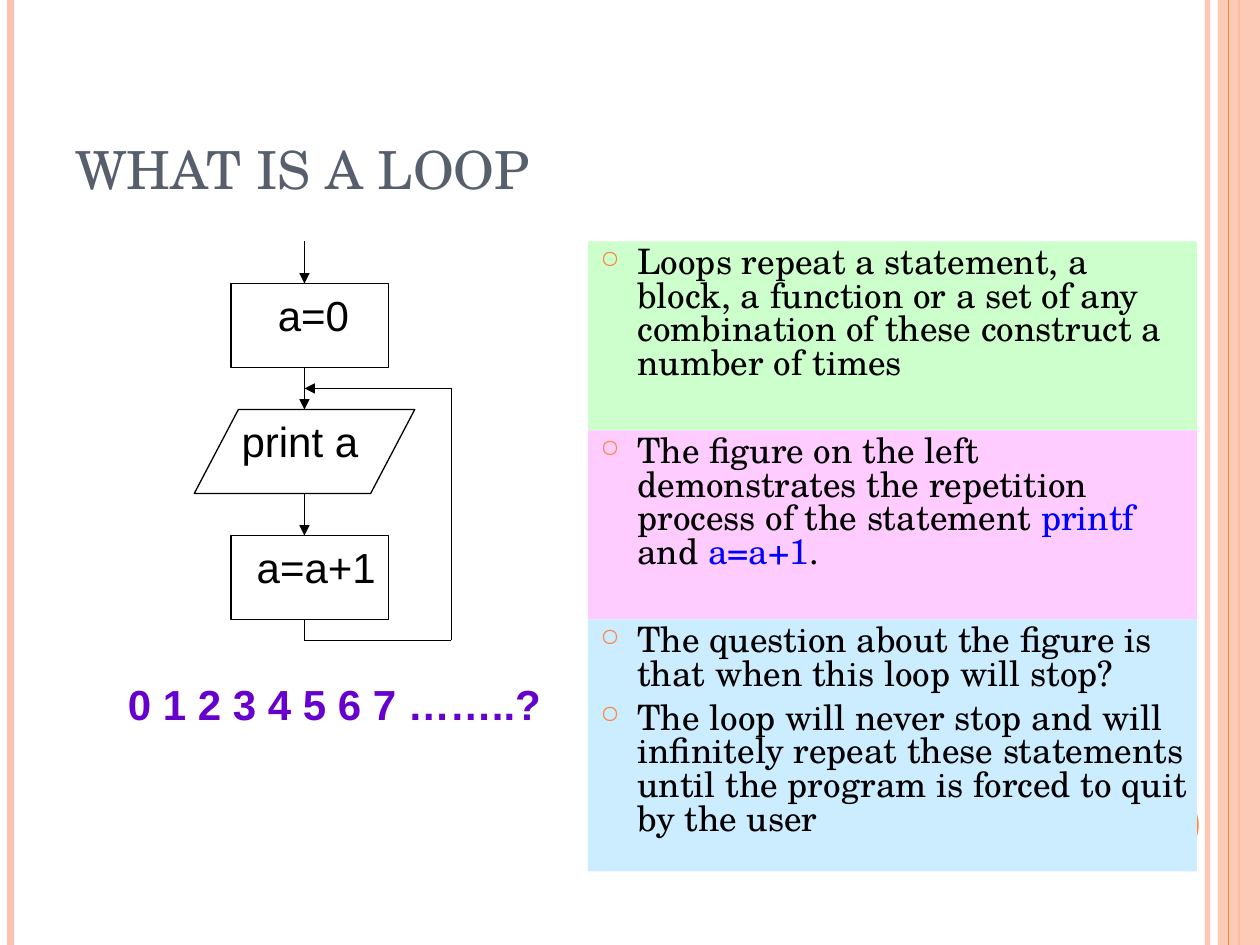
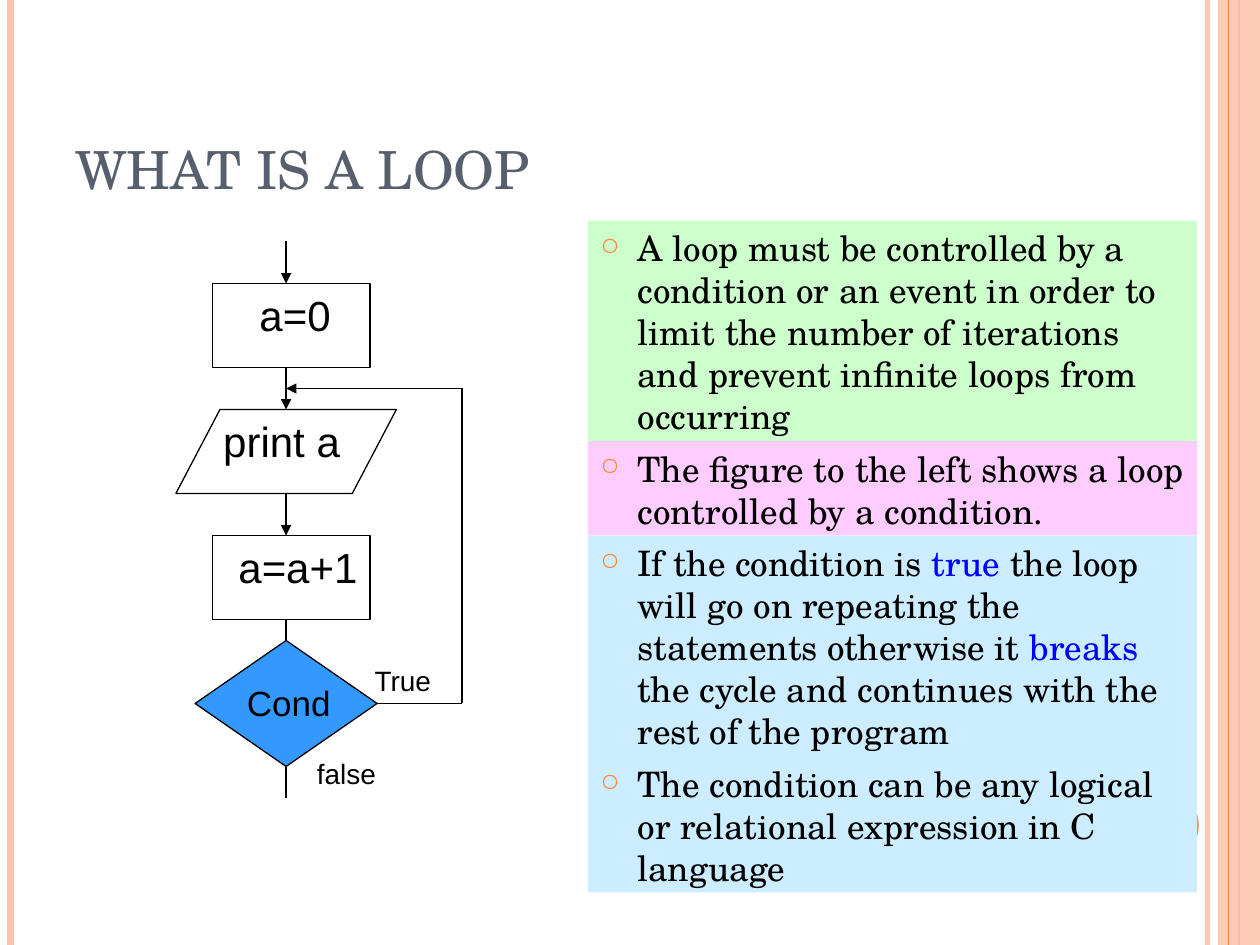
from lxml.etree import SubElement
from pptx import Presentation
from pptx.dml.color import RGBColor
from pptx.enum.shapes import MSO_CONNECTOR, MSO_SHAPE
from pptx.enum.text import MSO_ANCHOR, MSO_AUTO_SIZE, PP_ALIGN
from pptx.oxml.ns import qn
from pptx.util import Pt

PEACH = RGBColor(0xFE, 0xC3, 0xAE)
ORANGE = RGBColor(0xFE, 0x86, 0x37)
SLATE = RGBColor(0x57, 0x5F, 0x6D)
GREEN = RGBColor(0xCC, 0xFF, 0xCC)
PINK = RGBColor(0xFF, 0xCC, 0xFF)
PALE_BLUE = RGBColor(0xCC, 0xEC, 0xFF)
BLUE = RGBColor(0x00, 0x00, 0xFF)
DECISION_BLUE = RGBColor(0x33, 0x99, 0xFF)
PURPLE = RGBColor(0x66, 0x00, 0xCC)
BLACK = RGBColor(0x00, 0x00, 0x00)

SERIF, SANS = "TeX Gyre Schola", "Arial"
WIDTH, HEIGHT = 720, 540
TOP, RIGHT, BOTTOM = 0, 3, 2  # connection sites


class Deck:
    """Holds the shared style and the slide being built."""

    def __init__(self):
        self.presentation = Presentation()
        self.presentation.slide_width = Pt(WIDTH)
        self.presentation.slide_height = Pt(HEIGHT)
        self.slide = None

    def start_slide(self, title):
        layout = self.presentation.slide_layouts[6]
        self.slide = self.presentation.slides.add_slide(layout)
        # Side stripes and page marker
        self.line((690, 0), (690, HEIGHT), PEACH, 3, opacity=93)
        self.line((6, 0), (6, HEIGHT), PEACH, 4.5)
        self.line((708, 0), (708, HEIGHT), ORANGE, 1.5)
        self.shape(MSO_SHAPE.RECTANGLE, 696, 0, 24, HEIGHT, PEACH, opacity=87)
        self.line((702, 0), (702, HEIGHT), ORANGE)
        self.shape(MSO_SHAPE.OVAL, 642, 450, 43, 43, ORANGE)
        # Title
        self.text(title, 36, 42, 648, 75.6, 30, SLATE, SERIF,
                  wrap=True, anchor=MSO_ANCHOR.BOTTOM)

    def set_opacity(self, element, percent):
        for color in element.iter(qn("a:srgbClr")):
            SubElement(color, qn("a:alpha"), val=str(percent * 1000))

    def shape(self, kind, left, top, width, height, fill=None, outline=None,
              opacity=None):
        shape = self.slide.shapes.add_shape(
            kind, Pt(left), Pt(top), Pt(width), Pt(height))
        shape.shadow.inherit = False
        if fill is None:
            shape.fill.background()
        else:
            shape.fill.solid()
            shape.fill.fore_color.rgb = fill
        if outline is None:
            shape.line.fill.background()
        else:
            shape.line.color.rgb = outline
            shape.line.width = Pt(0.75)
        if opacity:
            self.set_opacity(shape._element, opacity)
        return shape

    def line(self, start, end, color=BLACK, weight=0.75, arrow=False,
             opacity=None):
        connector = self.slide.shapes.add_connector(
            MSO_CONNECTOR.STRAIGHT, *[Pt(value) for value in (*start, *end)])
        connector.line.color.rgb = color
        connector.line.width = Pt(weight)
        if arrow:
            SubElement(connector.line._get_or_add_ln(), qn("a:tailEnd"),
                       type="triangle")
        if opacity:
            self.set_opacity(connector._element, opacity)
        SubElement(connector._element.spPr, qn("a:effectLst"))
        return connector

    def text(self, text, left, top, width, height, size, color=BLACK,
             font=SANS, bold=False, wrap=False, anchor=MSO_ANCHOR.TOP):
        box = self.slide.shapes.add_textbox(
            Pt(left), Pt(top), Pt(width), Pt(height))
        frame = box.text_frame
        frame.word_wrap = wrap
        if not wrap:
            frame.auto_size = MSO_AUTO_SIZE.SHAPE_TO_FIT_TEXT
        frame.vertical_anchor = anchor
        paragraph = frame.paragraphs[0]
        paragraph.text = text
        paragraph.font.size = Pt(size)
        paragraph.font.name = font
        paragraph.font.bold = bold
        paragraph.font.color.rgb = color

    def bullet(self, paragraph, runs, line_spacing):
        """Fill a bullet; every second run is highlighted."""
        paragraph.alignment = PP_ALIGN.LEFT
        paragraph.line_spacing = line_spacing
        paragraph.font.size = Pt(20)
        paragraph.font.name = SERIF
        for index, words in enumerate(runs):
            run = paragraph.add_run()
            run.text = words
            run.font.color.rgb = BLUE if index % 2 else BLACK
        properties = paragraph._p.get_or_add_pPr()
        properties.set("marL", str(Pt(21.2)))
        properties.set("indent", str(-Pt(21.2)))
        # The bullet elements go before the default run properties
        default_run = properties.find(qn("a:defRPr"))
        color = SubElement(properties, qn("a:buClr"))
        SubElement(color, qn("a:srgbClr"), val=str(ORANGE))
        SubElement(properties, qn("a:buSzPct"), val="70000")
        SubElement(properties, qn("a:buChar"), char="○")
        properties.append(default_run)

    def bands(self, top, bands, line_spacing=1.0):
        """Stack coloured bands, each with its bullets."""
        for fill, height, bullets in bands:
            band = self.shape(MSO_SHAPE.RECTANGLE, 336, top, 348, height, fill)
            frame = band.text_frame
            frame.word_wrap = True
            frame.vertical_anchor = MSO_ANCHOR.TOP
            frame.margin_right = Pt(5)
            frame.margin_bottom = 0
            for index, runs in enumerate(bullets):
                paragraph = frame.add_paragraph() if index else frame.paragraphs[0]
                self.bullet(paragraph, runs, line_spacing)
                if index:
                    paragraph.space_before = Pt(6)
            top += height

    def flowchart(self, axis):
        """Draw the three steps; arrows run down the axis."""
        box, data = MSO_SHAPE.RECTANGLE, MSO_SHAPE.FLOWCHART_DATA
        steps = [
            (box, -42, 90, " a=0", -29, 63),
            (data, -63, 126, "print a", -43, 83),
            (box, -42, 90, " a=a+1", -41, 91),
        ]
        for index, (kind, offset, width, label, shift, label_width) in enumerate(steps):
            top = 162 + 72 * index
            self.shape(kind, axis + offset, top, width, 48, outline=BLACK)
            self.line((axis, top - 24), (axis, top), arrow=True)
            self.text(label, axis + shift, top, label_width, 36, 24)
        return self.line((axis, 354), (axis, 366))

    def loop_back(self, start, right, axis):
        """Lead from start round the right side and back above the print step."""
        first = self.line(start, (right, start[1]))
        self.line((right, start[1]), (right, 222))
        self.line((right, 222), (axis, 222), arrow=True)
        return first


def endless_loop(deck):
    deck.start_slide("WHAT IS A LOOP")
    deck.bands(138, [
        (GREEN, 108, [["Loops repeat a statement, a block, a function or a set of "
                       "any combination of these construct a number of times"]]),
        (PINK, 108, [["The figure on the left demonstrates the repetition process "
                      "of the statement ", "printf ", "and ", "a=a+1", "."]]),
        (PALE_BLUE, 144, [
            ["The question about the figure is that when this loop will stop?"],
            ["The loop will never stop and will infinitely repeat these "
             "statements until the program is forced to quit by the user"]]),
    ], line_spacing=0.8)
    axis = 174
    deck.flowchart(axis)
    deck.loop_back((axis, 366), 258, axis)
    deck.text("0 1 2 3 4 5 6 7 ……..?", 66, 384, 270, 36, 24, PURPLE,
              bold=True, wrap=True)


def controlled_loop(deck):
    deck.start_slide("WHAT IS A LOOP")
    deck.bands(126, [
        (GREEN, 126, [["A loop must be controlled by a condition or an event in "
                       "order to limit the number of iterations and prevent "
                       "infinite loops from occurring"]]),
        (PINK, 54, [["The figure to the left shows a loop controlled by a "
                     "condition."]]),
        (PALE_BLUE, 204, [
            ["If the condition is ", "true", " the loop will go on repeating the "
             "statements otherwise it ", "breaks",
             " the cycle and continues with the rest of the program"],
            ["The condition can be any logical or relational expression in C "
             "language"]]),
    ])
    axis = 163.5
    entry = deck.flowchart(axis)
    # Condition with its two exits
    condition = deck.shape(MSO_SHAPE.FLOWCHART_DECISION, axis - 52, 366, 104, 72,
                           DECISION_BLUE, BLACK)
    entry.end_connect(condition, TOP)
    true_exit = deck.loop_back((axis + 52, 402), 264, axis)
    true_exit.begin_connect(condition, RIGHT)
    false_exit = deck.line((axis, 438), (axis, 456))
    false_exit.begin_connect(condition, BOTTOM)
    deck.text("Cond", 134, 386, 65, 31.5, 20)
    deck.text("True", 207, 375.5, 48, 26.5, 16)
    deck.text("false", 174, 429, 50, 26.5, 16)


def main():
    deck = Deck()
    endless_loop(deck)
    controlled_loop(deck)
    deck.presentation.save("out.pptx")


if __name__ == "__main__":
    main()
